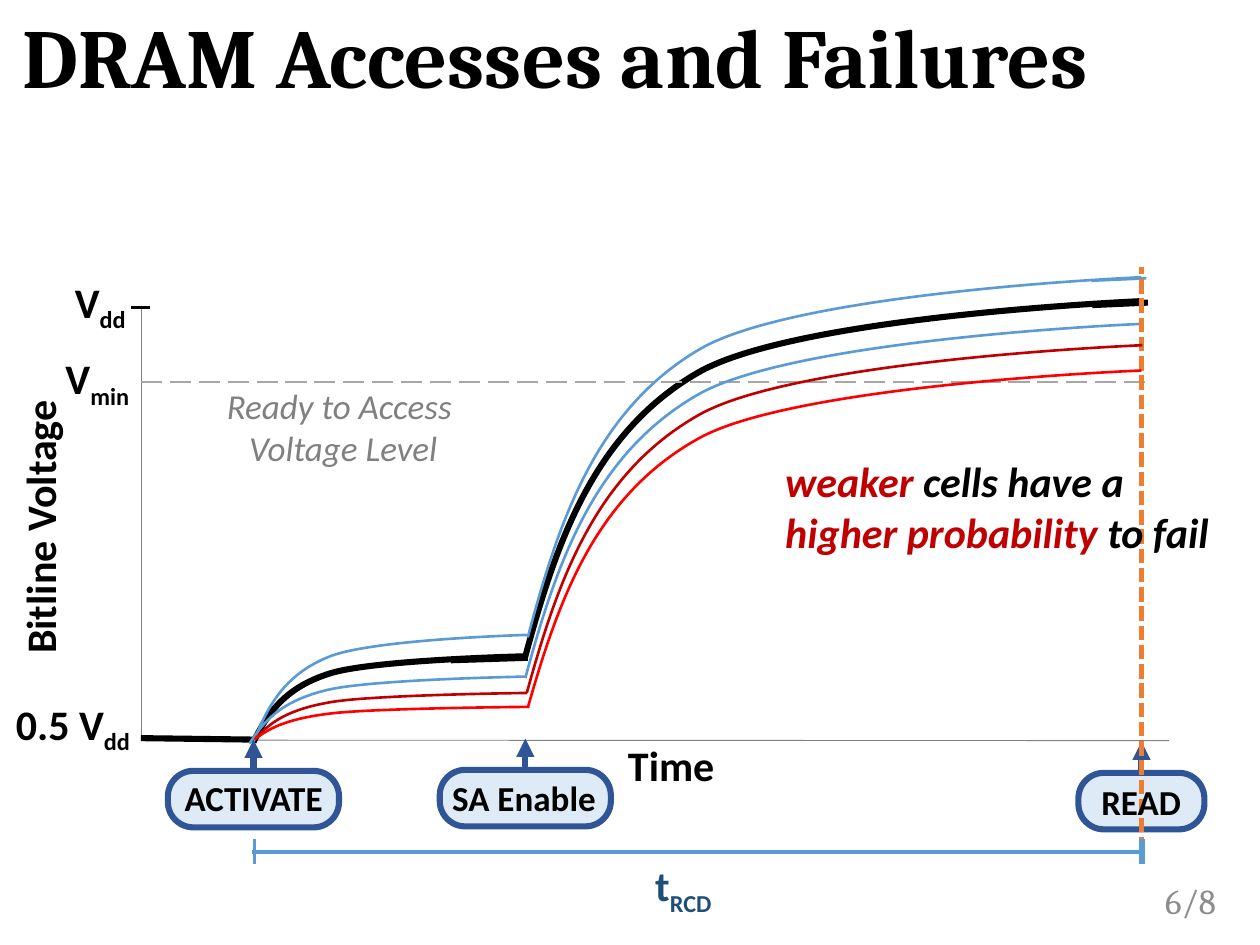
from dataclasses import dataclass

from lxml.etree import SubElement
from pptx import Presentation
from pptx.dml.color import RGBColor
from pptx.enum.dml import MSO_LINE_DASH_STYLE as Dash
from pptx.enum.shapes import MSO_CONNECTOR as Connector, MSO_SHAPE as Shape
from pptx.enum.text import MSO_ANCHOR as Anchor, PP_ALIGN as Align
from pptx.oxml.ns import qn
from pptx.util import Cm, Pt


@dataclass(frozen=True)
class Theme:
    heading: str = "Cambria"
    body: str = "Calibri"
    title_size: int = 48
    label_size: int = 24
    small_size: int = 20
    black: str = "000000"
    white: str = "FFFFFF"
    axis: str = "808080"
    threshold: str = "A6A6A6"
    page: str = "8C8C8C"
    blue: str = "5B9BD5"
    navy: str = "1F4E79"
    badge_line: str = "2F5597"
    badge_fill: str = "DEEBF7"
    orange: str = "ED7D31"
    weak: str = "C00000"
    weakest: str = "FF0000"
    thick: float = 3.5
    thin: float = 1.5
    span: float = 2.25


THEME = Theme()
RISE = [(0.05, 0.32), (0.11, 0.63), (0.28, 0.8), (0.44, 0.96), (1, 1), (1, 1)]


def rgb(color):
    return RGBColor.from_string(color)


def style_line(line, color, width):
    line.color.rgb = rgb(color)
    line.width = Pt(width)


def add_line(slide, start, end, color, width, dash=None, arrow=False):
    connector = slide.shapes.add_connector(
        Connector.STRAIGHT, *(Cm(value) for value in (*start, *end)))
    style_line(connector.line, color, width)
    if dash:
        connector.line.dash_style = dash
    if arrow:
        SubElement(connector.line._get_or_add_ln(), qn("a:tailEnd"), type="triangle")
    SubElement(connector._element.spPr, qn("a:effectLst"))


def bend_segments(curve):
    outline = next(curve._element.iter(qn("a:path")))
    segments = outline.findall(qn("a:lnTo"))
    for first in range(0, len(segments), 3):
        bend = SubElement(outline, qn("a:cubicBezTo"))
        for segment in segments[first:first + 3]:
            bend.append(segment[0])
            outline.remove(segment)


def add_rise(slide, start, end, color, width):
    points = [tuple(Cm(a + (b - a) * share) for a, b, share in zip(start, end, shares))
              for shares in RISE]
    builder = slide.shapes.build_freeform(Cm(start[0]), Cm(start[1]))
    builder.add_line_segments(points, close=False)
    curve = builder.convert_to_shape()
    bend_segments(curve)
    curve.shadow.inherit = False
    curve.fill.background()
    style_line(curve.line, color, width)


def add_trace(slide, activate, shared, sense, read, color, width):
    add_rise(slide, activate, shared, color, width)
    add_rise(slide, sense, read, color, width)


def add_block(slide, kind, box, fill, line, width):
    block = slide.shapes.add_shape(kind, *(Cm(value) for value in box))
    block.shadow.inherit = False
    block.fill.solid()
    block.fill.fore_color.rgb = rgb(fill)
    style_line(block.line, line, width)
    return block


def add_label(slide, box, lines, size=THEME.label_size, color=THEME.black,
              font=THEME.body, bold=True, italic=False, align=Align.LEFT,
              wrap=False, anchor=Anchor.TOP, spacing=None, rotation=0):
    label = slide.shapes.add_textbox(*(Cm(value) for value in box))
    label.rotation = rotation
    frame = label.text_frame
    frame.word_wrap = wrap
    frame.vertical_anchor = anchor
    for index, line in enumerate(lines):
        paragraph = frame.paragraphs[0] if index == 0 else frame.add_paragraph()
        paragraph.alignment = align
        if spacing:
            paragraph.line_spacing = spacing
        paragraph.font.name = font
        paragraph.font.size = Pt(size)
        paragraph.font.bold = bold
        paragraph.font.italic = italic
        paragraph.font.color.rgb = rgb(color)
        paragraph.add_run().text = line
    return frame.paragraphs[0]


def add_symbol(slide, box, base, subscript, color=THEME.black):
    run = add_label(slide, box, [base], color=color).add_run()
    run.text = subscript
    run._r.get_or_add_rPr().set("baseline", "-25000")


def add_badge(slide, center, top, width):
    add_line(slide, (center, top), (center, top - 0.63),
             THEME.badge_line, THEME.thick, arrow=True)
    badge = add_block(slide, Shape.ROUNDED_RECTANGLE,
                      (center - width / 2, top, width, 1.14),
                      THEME.badge_fill, THEME.badge_line, THEME.thick)
    badge.adjustments[0] = 0.45


def draw_axes(slide):
    add_line(slide, (2.85, 6.2), (2.85, 14.94), THEME.axis, 0.5)
    add_line(slide, (23.57, 14.93), (2.85, 14.92), THEME.axis, 0.5)
    add_line(slide, (3.02, 6.2), (2.64, 6.2), THEME.black, 1.25)
    add_symbol(slide, (1.26, 5.44, 1.6, 1.27), "V", "dd")
    add_symbol(slide, (0.07, 13.95, 2.87, 1.27), "0.5 V", "dd")
    add_symbol(slide, (1.07, 6.99, 1.9, 1.27), "V", "min")
    add_label(slide, (-2.14, 9.86, 5.87, 1.27), ["Bitline Voltage"], rotation=270)
    add_label(slide, (12.41, 14.78, 2.26, 1.27), ["Time"])


def draw_strong_cells(slide):
    add_line(slide, (5.16, 14.91), (2.84, 14.88), THEME.black, THEME.thick)
    add_trace(slide, (5.11, 14.96), (10.62, 13.23), (10.57, 13.31), (23.04, 6.07),
              THEME.black, THEME.thick)
    add_line(slide, (9.09, 13.31), (10.64, 13.26), THEME.black, THEME.thick)
    add_line(slide, (22.02, 6.15), (23.14, 6.1), THEME.black, THEME.thick)
    add_line(slide, (2.84, 7.7), (23.14, 7.7), THEME.threshold, THEME.thin,
             Dash.LONG_DASH)
    add_trace(slide, (5.11, 14.96), (10.62, 12.8), (10.64, 12.85), (23.01, 5.59),
              THEME.blue, THEME.thin)
    add_line(slide, (22, 5.66), (23.11, 5.61), THEME.blue, THEME.thin)
    add_trace(slide, (5.03, 14.99), (10.62, 13.64), (10.59, 13.67), (23.01, 6.53),
              THEME.blue, THEME.thin)


def draw_weak_cells(slide):
    add_trace(slide, (5.16, 14.88), (10.62, 13.97), (10.62, 13.97), (23.03, 6.96),
              THEME.weak, THEME.thin)
    add_trace(slide, (5.13, 14.91), (10.67, 14.25), (10.64, 14.27), (23.01, 7.47),
              THEME.weakest, THEME.thin)


def draw_commands(slide):
    for center, top, width in ((5.11, 15.54, 3.45), (10.59, 15.52, 3.45),
                               (23.01, 15.58, 2.54)):
        add_badge(slide, center, top, width)
    add_line(slide, (5.08, 17.17), (22.99, 17.17), THEME.blue, THEME.span)
    add_line(slide, (23.01, 17.17), (23.01, 5.38), THEME.orange, 2.75, Dash.SQUARE_DOT)
    for edge in (5.13, 23.01, 23.04):
        add_line(slide, (edge, 16.92), (edge, 17.42), THEME.blue, THEME.span)
    for command, left, top, width in (("ACTIVATE", 3.45, 15.53, 3.33),
                                      ("SA Enable", 8.85, 15.53, 3.43),
                                      ("READ", 21.94, 15.6, 2.13)):
        add_label(slide, (left, top, width, 1.12), [command],
                  THEME.small_size, align=Align.CENTER)
    add_symbol(slide, (12.96, 17.21, 1.8, 1.27), "t", "RCD", THEME.navy)


def draw_remarks(slide):
    add_label(slide, (4.29, 7.62, 5.26, 1.96), ["Ready to Access ", "Voltage Level"],
              THEME.small_size, THEME.axis, bold=False, italic=True, align=Align.CENTER)
    finding = add_label(slide, (15.58, 9.06, 9.4, 2.31), ["weaker "],
                        italic=True, wrap=True)
    for words, color in (("cells have a ", THEME.black),
                         ("higher probability", THEME.weak),
                         (" to fail", THEME.black)):
        run = finding.add_run()
        run.text = words
        run.font.color.rgb = rgb(color)
    finding.runs[0].font.color.rgb = rgb(THEME.weak)


def main():
    deck = Presentation()
    deck.slide_width, deck.slide_height = Cm(25.4), Cm(19.05)
    slide = deck.slides.add_slide(deck.slide_layouts[6])
    add_label(slide, (22.02, 17.65, 2.74, 1.02), ["6/8"], THEME.small_size, THEME.page,
              THEME.heading, bold=False, align=Align.RIGHT, wrap=True,
              anchor=Anchor.MIDDLE)
    add_block(slide, Shape.RECTANGLE, (0.08, 0, 25.32, 17.86),
              THEME.white, THEME.white, 1)
    add_label(slide, (0.2, 0.2, 24.97, 2.06), ["DRAM Accesses and Failures"],
              THEME.title_size, font=THEME.heading, wrap=True, anchor=Anchor.MIDDLE,
              spacing=0.9)
    draw_axes(slide)
    draw_strong_cells(slide)
    draw_commands(slide)
    draw_weak_cells(slide)
    draw_remarks(slide)
    deck.save("out.pptx")


if __name__ == "__main__":
    main()
